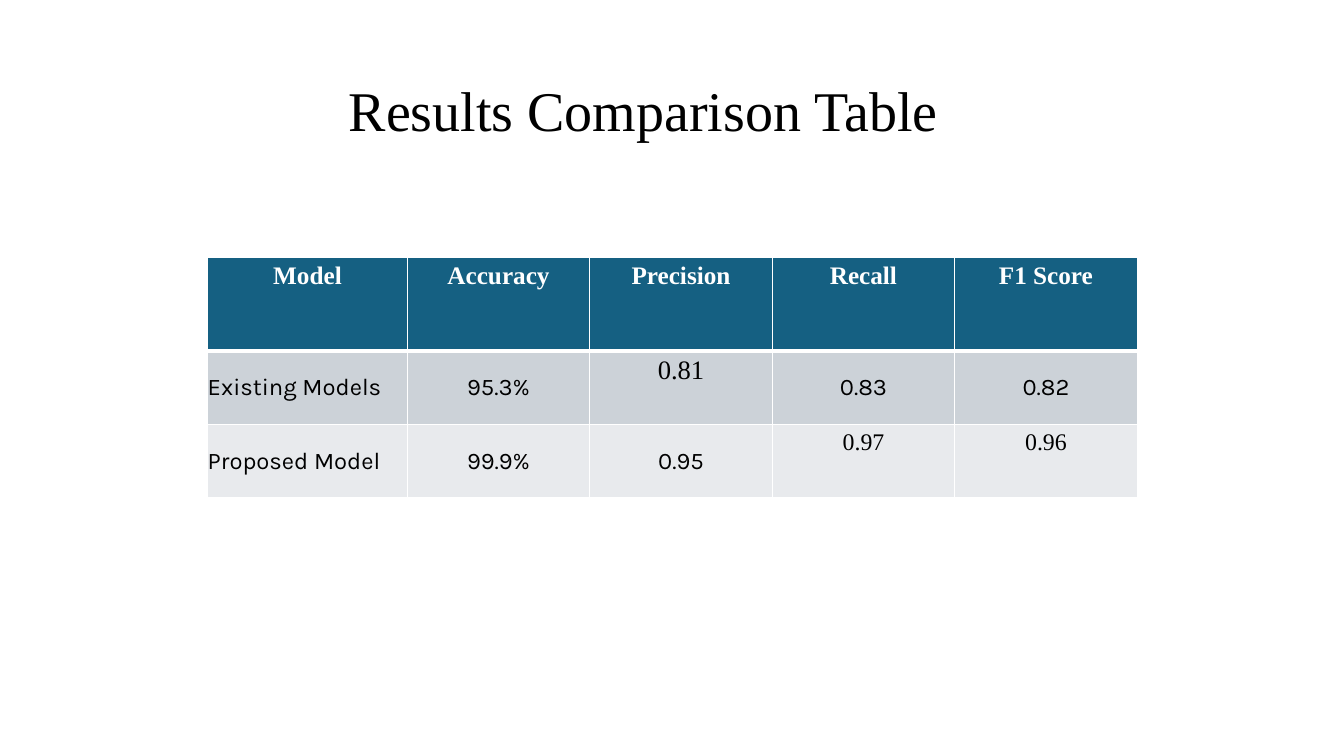
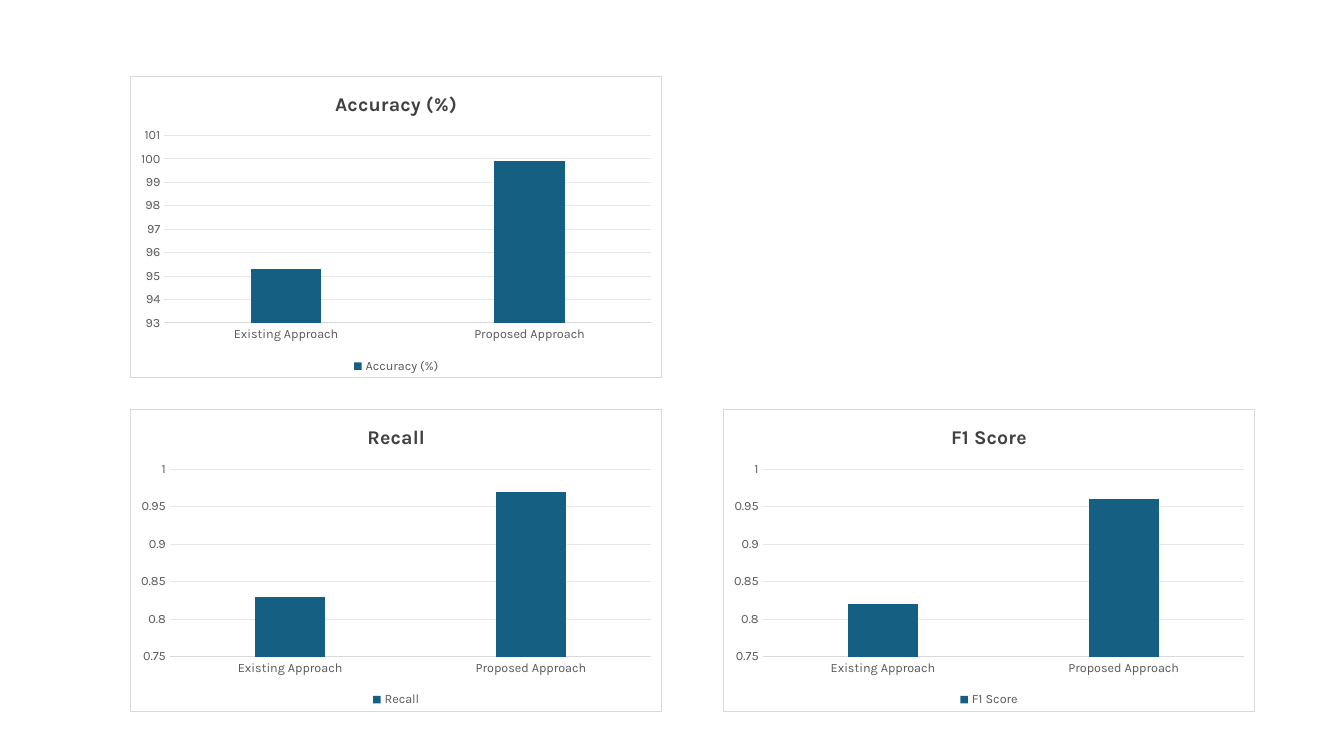
from dataclasses import dataclass

from lxml import etree
from pptx import Presentation
from pptx.chart.data import CategoryChartData
from pptx.dml.color import RGBColor
from pptx.enum.chart import XL_CHART_TYPE, XL_LEGEND_POSITION, XL_TICK_MARK
from pptx.enum.text import MSO_ANCHOR, PP_ALIGN
from pptx.oxml import parse_xml
from pptx.oxml.ns import nsdecls, qn
from pptx.util import Inches, Pt

COLUMN_CLUSTERED = XL_CHART_TYPE.COLUMN_CLUSTERED
LEGEND_BOTTOM = XL_LEGEND_POSITION.BOTTOM
NO_TICK = XL_TICK_MARK.NONE
LEFT, CENTER = PP_ALIGN.LEFT, PP_ALIGN.CENTER
TOP, MIDDLE = MSO_ANCHOR.TOP, MSO_ANCHOR.MIDDLE

# Shared look
SERIF, SANS = "Times New Roman", "Karla"
BLACK, WHITE, ACCENT = "000000", "FFFFFF", "156082"
ROW_TINTS = ("CCD2D8", "E8EAED")
TITLE_GREY, LABEL_GREY = "404040", "595959"
FRAME_GREY, GRID_GREY = "D9D9D9", "E6E6E6"
HAIRLINE = 0.75
TITLE_ONLY, BLANK = 5, 6

# Results table, in inches
TABLE_LEFT, TABLE_TOP = 2.06, 2.55
COLUMN_WIDTHS = [1.98] + [1.81] * 4
ROW_HEIGHTS = [0.93, 0.73, 0.73]

# Chart grid, in inches
GRID_LEFT, GRID_TOP = 1.29, 0.75
CHART_WIDTH, CHART_HEIGHT = 5.28, 3
GAP_X, GAP_Y = 0.6, 0.31
APPROACHES = ("Existing Approach", "Proposed Approach")


@dataclass(frozen=True)
class Entry:
    """One table cell; loose entries keep the default margins and sit on top."""
    text: str
    size: float = 17
    font: str = SANS
    align: int = CENTER
    loose: bool = False
    bold: bool = False
    color: str = BLACK


@dataclass(frozen=True)
class Metric:
    """One column chart and its place on the chart grid."""
    name: str
    values: tuple[float, float]
    column: int
    row: int
    low: float
    high: float
    step: float


def heading(text: str) -> Entry:
    return Entry(text, 18, SERIF, loose=True, bold=True, color=WHITE)


def serif_score(text: str, size: float = 17) -> Entry:
    return Entry(text, size, SERIF, loose=True)


RESULTS = [
    [heading(name) for name in ("Model", "Accuracy", "Precision", "Recall", "F1 Score")],
    [Entry("Existing Models", align=LEFT), Entry("95.3%"), serif_score("0.81", 19),
     Entry("0.83"), Entry("0.82")],
    [Entry("Proposed Model", align=LEFT), Entry("99.9%"), Entry("0.95"),
     serif_score("0.97"), serif_score("0.96")],
]

METRICS = [
    Metric("Accuracy (%)", (95.3, 99.9), 0, 0, 93, 101, 1),
    Metric("Recall", (0.83, 0.97), 0, 1, 0.75, 1, 0.05),
    Metric("F1 Score", (0.82, 0.96), 1, 1, 0.75, 1, 0.05),
]


def rgb(color: str) -> RGBColor:
    return RGBColor.from_string(color)


def paint(fill, color: str) -> None:
    fill.solid()
    fill.fore_color.rgb = rgb(color)


def style_font(font, name: str, size: float, color: str, bold: bool = False) -> None:
    font.name, font.size, font.bold = name, Pt(size), bold
    font.color.rgb = rgb(color)


def style_line(line, color: str) -> None:
    line.width = Pt(HAIRLINE)
    line.color.rgb = rgb(color)


def add_title(slide, text: str) -> None:
    title = slide.shapes.title
    title.left, title.top = Inches(3.08), Inches(0.7)
    title.width, title.height = Inches(7.19), Inches(0.77)
    frame = title.text_frame
    frame.text = text
    frame.vertical_anchor = TOP
    frame.margin_left = Inches(0.38)
    paragraph = frame.paragraphs[0]
    paragraph.alignment = LEFT
    style_font(paragraph.font, SERIF, 40, BLACK)


def set_borders(cell, bottom: float) -> None:
    properties = cell._tc.get_or_add_tcPr()
    widths = {"lnL": 1, "lnR": 1, "lnT": 1, "lnB": bottom}
    for index, (side, width) in enumerate(widths.items()):
        properties.insert(index, parse_xml(
            f'<a:{side} {nsdecls("a")} w="{Pt(width)}"><a:solidFill>'
            f'<a:srgbClr val="{WHITE}"/></a:solidFill></a:{side}>'))


def fill_cell(cell, entry: Entry, tint: str, bottom: float) -> None:
    cell.text = entry.text
    paint(cell.fill, tint)
    set_borders(cell, bottom)
    cell.vertical_anchor = TOP if entry.loose else MIDDLE
    if not entry.loose:
        cell.margin_left = cell.margin_right = cell.margin_top = cell.margin_bottom = 0
    paragraph = cell.text_frame.paragraphs[0]
    paragraph.alignment = entry.align
    style_font(paragraph.font, entry.font, entry.size, entry.color, entry.bold)


def add_results_table(slide) -> None:
    table = slide.shapes.add_table(
        len(ROW_HEIGHTS), len(COLUMN_WIDTHS), Inches(TABLE_LEFT), Inches(TABLE_TOP),
        Inches(sum(COLUMN_WIDTHS)), Inches(sum(ROW_HEIGHTS))).table
    for column, width in zip(table.columns, COLUMN_WIDTHS):
        column.width = Inches(width)
    for row, height in zip(table.rows, ROW_HEIGHTS):
        row.height = Inches(height)
    for r, (entries, tint) in enumerate(zip(RESULTS, (ACCENT, *ROW_TINTS))):
        for c, entry in enumerate(entries):
            fill_cell(table.cell(r, c), entry, tint, bottom=3 if r == 0 else 1)


def frame_chart(chart) -> None:
    """White chart area with a thin grey border."""
    area = parse_xml(
        f'<c:spPr {nsdecls("c", "a")}><a:solidFill><a:srgbClr val="{WHITE}"/></a:solidFill>'
        f'<a:ln w="{Pt(HAIRLINE)}"><a:solidFill><a:srgbClr val="{FRAME_GREY}"/>'
        '</a:solidFill></a:ln></c:spPr>')
    space = chart._chartSpace
    space.find(qn("c:chart")).addnext(area)
    if space.find(qn("c:roundedCorners")) is None:
        corners = etree.Element(qn("c:roundedCorners"), val="0")
        space.find(qn("c:date1904")).addnext(corners)


def add_metric_chart(slide, metric: Metric) -> None:
    data = CategoryChartData()
    data.categories = APPROACHES
    data.add_series(metric.name, metric.values)
    chart = slide.shapes.add_chart(
        COLUMN_CLUSTERED,
        Inches(GRID_LEFT + metric.column * (CHART_WIDTH + GAP_X)),
        Inches(GRID_TOP + metric.row * (CHART_HEIGHT + GAP_Y)),
        Inches(CHART_WIDTH), Inches(CHART_HEIGHT), data).chart
    style_font(chart.font, SANS, 10, BLACK)
    frame_chart(chart)

    # Title and legend
    chart.has_title = True
    title = chart.chart_title.text_frame
    title.text = metric.name
    style_font(title.paragraphs[0].font, SANS, 14, TITLE_GREY, bold=True)
    chart.has_legend = True
    chart.legend.position = LEGEND_BOTTOM
    chart.legend.include_in_layout = False
    style_font(chart.legend.font, SANS, 9, LABEL_GREY)

    # Axes
    approaches, scale = chart.category_axis, chart.value_axis
    for axis in (approaches, scale):
        axis.major_tick_mark = axis.minor_tick_mark = NO_TICK
        style_font(axis.tick_labels.font, SANS, 9, LABEL_GREY)
    style_line(approaches.format.line, FRAME_GREY)
    scale.format.line.fill.background()
    scale.minimum_scale, scale.maximum_scale = metric.low, metric.high
    scale.major_unit = metric.step
    style_line(scale.major_gridlines.format.line, GRID_GREY)

    # Columns
    plot = chart.plots[0]
    plot.gap_width, plot.overlap, plot.vary_by_categories = 246, -28, False
    paint(plot.series[0].format.fill, ACCENT)


def main() -> None:
    deck = Presentation()
    deck.slide_width, deck.slide_height = Inches(13.33), Inches(7.5)

    comparison = deck.slides.add_slide(deck.slide_layouts[TITLE_ONLY])
    add_title(comparison, "Results Comparison Table")
    add_results_table(comparison)

    charts = deck.slides.add_slide(deck.slide_layouts[BLANK])
    for metric in METRICS:
        add_metric_chart(charts, metric)

    deck.save("out.pptx")


if __name__ == "__main__":
    main()
